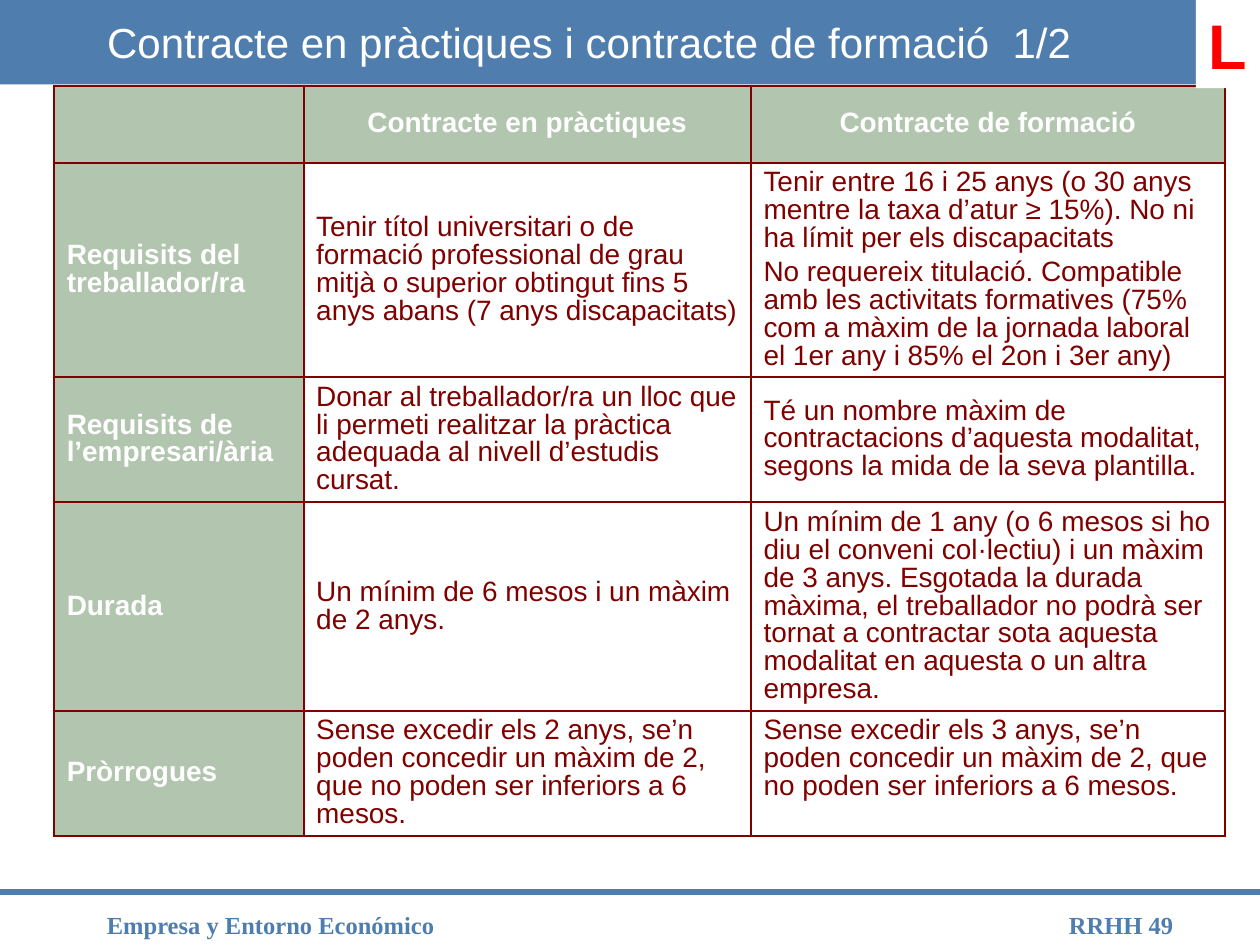
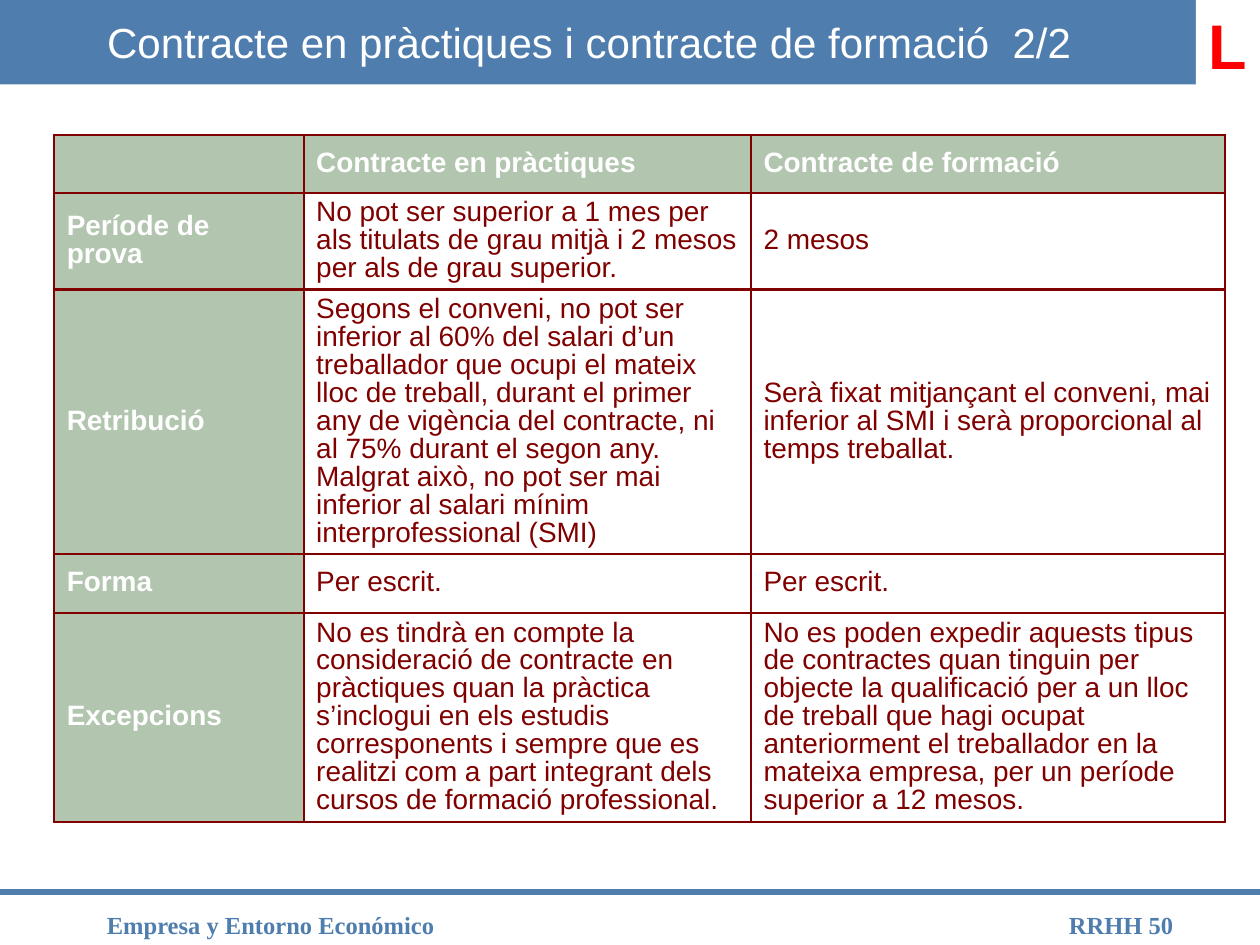
from dataclasses import dataclass, field
from typing import Any

from lxml import etree
from pptx import Presentation
from pptx import util as u
from pptx.dml.color import RGBColor
from pptx.enum import shapes, text
from pptx.oxml import ns


@dataclass(frozen=True)
class Theme:
    """Colours, fonts and type sizes that all slides share."""
    blue: str = "4F7DAE"
    sage: str = "B2C5AF"
    wine: str = "800000"
    white: str = "FFFFFF"
    red: str = "FF0000"
    sans: str = "Arial"
    serif: str = "Times New Roman"
    head: float = 24
    cell: float = 16
    foot: float = 14
    mark: float = 36
    rule: float = 3
    edge: float = 1.5


@dataclass(frozen=True)
class Box:
    """A frame in percent of the slide's width and height."""
    left: float
    top: float
    width: float
    height: float


@dataclass(frozen=True)
class Type:
    """The look of one kind of text."""
    size: float
    tint: str
    face: str
    bold: bool = False
    align: Any = text.PP_ALIGN.LEFT
    form: dict = field(default_factory=dict)


@dataclass(frozen=True)
class Page:
    """One slide: its numbers, table place, row heights and cells."""
    step: str
    num: int
    top: float
    rows: tuple[float, ...]
    cells: tuple[tuple[str, ...], ...]
    align: Any = text.PP_ALIGN.LEFT
    high: tuple[tuple[int, int], ...] = ()


T = Theme()
WIDE, TALL = u.Inches(10), u.Inches(7.5)
BAND = Box(0, 0, 100, 8.93)
TITLE = Box(7.5, 0, 85, 8.93)
MARK = Box(94.9, 0, 5.1, 9.33)
NAME = Box(7.5, 95.6, 46.7, 3.33)
CODE = Box(79.9, 95.6, 14.2, 3.33)
RULE = 94.4
LEFT = 4.3
COLS = (19.8, 35.5, 37.6)
MID, TOP = text.MSO_ANCHOR.MIDDLE, text.MSO_ANCHOR.TOP
RIGHT, CENTRE = text.PP_ALIGN.RIGHT, text.PP_ALIGN.CENTER
TIGHT = {"line_spacing": 0.9, "space_before": u.Pt(3.2)}
FRAME = {"word_wrap": True, "auto_size": text.MSO_AUTO_SIZE.NONE}
HEADS = ("", "Contracte en pràctiques", "Contracte de formació")

PAGES = (
    Page("1/2", 49, 9.1, (8.15, 22.65, 13.23, 22.12, 13.12), (
        HEADS,
        ("Requisits del treballador/ra",
         "Tenir títol universitari o de formació professional de grau mitjà o "
         "superior obtingut fins 5 anys abans (7 anys discapacitats)",
         "Tenir entre 16 i 25 anys (o 30 anys mentre la taxa d’atur ≥ 15%). "
         "No ni ha límit per els discapacitats\n"
         "No requereix titulació. Compatible amb les activitats formatives "
         "(75% com a màxim de la jornada laboral el 1er any i 85% el 2on i 3er any)"),
        ("Requisits de l’empresari/ària",
         "Donar al treballador/ra un lloc que li permeti realitzar la pràctica "
         "adequada al nivell d’estudis cursat.",
         "Té un nombre màxim de contractacions d’aquesta modalitat, segons la "
         "mida de la seva plantilla."),
        ("Durada",
         "Un mínim de 6 mesos i un màxim de 2 anys.",
         "Un mínim de 1 any (o 6 mesos si ho diu el conveni col·lectiu) i un "
         "màxim de 3 anys. Esgotada la durada màxima, el treballador no podrà ser "
         "tornat a contractar sota aquesta modalitat en aquesta o un altra empresa."),
        ("Pròrrogues",
         "Sense excedir els 2 anys, se’n poden concedir un màxim de 2, que no "
         "poden ser inferiors a 6 mesos.",
         "Sense excedir els 3 anys, se’n poden concedir un màxim de 2, que no "
         "poden ser inferiors a 6 mesos."),
    ), CENTRE, ((4, 2),)),
    Page("2/2", 50, 14.29, (6.14, 10.2, 27.99, 6.24, 22.12), (
        HEADS,
        ("Període de prova",
         "No pot ser superior a 1 mes per als titulats de grau mitjà i 2 mesos "
         "per als de grau superior.",
         "2 mesos"),
        ("Retribució",
         "Segons el conveni, no pot ser inferior al 60% del salari d’un treballador "
         "que ocupi el mateix lloc de treball, durant el primer any de vigència del "
         "contracte, ni al 75% durant el segon any. Malgrat això, no pot ser mai "
         "inferior al salari mínim interprofessional (SMI)",
         "Serà fixat mitjançant el conveni, mai inferior al SMI i serà proporcional "
         "al temps treballat."),
        ("Forma", "Per escrit.", "Per escrit."),
        ("Excepcions",
         "No es tindrà en compte la consideració de contracte en pràctiques quan la "
         "pràctica s’inclogui en els estudis corresponents i sempre que es realitzi "
         "com a part integrant dels cursos de formació professional.",
         "No es poden expedir aquests tipus de contractes quan tinguin per objecte "
         "la qualificació per a un lloc de treball que hagi ocupat anteriorment el "
         "treballador en la mateixa empresa, per un període superior a 12 mesos."),
    )),
)


def across(share: float) -> int:
    """Turn percent of the width into a length."""
    return round(WIDE * share / 100)


def down(share: float) -> int:
    """Turn percent of the height into a length."""
    return round(TALL * share / 100)


def place(box: Box) -> tuple[int, int, int, int]:
    """Turn a box into left, top, width and height."""
    return across(box.left), down(box.top), across(box.width), down(box.height)


def put(item: Any, form: dict) -> None:
    """Set each format value on an object."""
    for key, val in form.items():
        setattr(item, key, val)


def write(frame: Any, words: str, look: Type) -> None:
    """Fill a text frame, one paragraph a line."""
    frame.text = words
    for para in frame.paragraphs:
        put(para, {"alignment": look.align, **look.form})
        for run in para.runs:
            put(run.font, {"size": u.Pt(look.size), "name": look.face, "bold": look.bold})
            run.font.color.rgb = RGBColor.from_string(look.tint)


def block(slide: Any, box: Box, tint: str) -> Any:
    """Draw a plain filled rectangle."""
    rect = slide.shapes.add_shape(shapes.MSO_SHAPE.RECTANGLE, *place(box))
    rect.shadow.inherit = False
    rect.fill.solid()
    rect.fill.fore_color.rgb = RGBColor.from_string(tint)
    rect.line.fill.background()
    return rect


def label(slide: Any, box: Box, words: str, look: Type) -> None:
    """Add a text box."""
    frame = slide.shapes.add_textbox(*place(box)).text_frame
    put(frame, FRAME)
    write(frame, words, look)


def base(slide: Any, num: int) -> None:
    """Draw the band, the rule and the footer."""
    block(slide, BAND, T.blue)
    rule = slide.shapes.add_connector(
        shapes.MSO_CONNECTOR.STRAIGHT, 0, down(RULE), WIDE, down(RULE))
    rule.line.color.rgb = RGBColor.from_string(T.blue)
    rule.line.width = u.Pt(T.rule)
    etree.SubElement(rule._element.spPr, ns.qn("a:effectLst"))
    label(slide, CODE, f"RRHH {num}", Type(T.foot, T.blue, T.serif, True, RIGHT))
    label(slide, NAME, "Empresa y Entorno Económico", Type(T.foot, T.blue, T.serif, True))


def border(cell: Any) -> None:
    """Rule all four sides of a cell."""
    props = cell._tc.get_or_add_tcPr()
    for side in "LRTB":
        line = etree.SubElement(props, ns.qn(f"a:ln{side}"), w=str(u.Pt(T.edge)))
        fill = etree.SubElement(line, ns.qn("a:solidFill"))
        etree.SubElement(fill, ns.qn("a:srgbClr"), val=T.wine)


def grid(slide: Any, page: Page) -> None:
    """Draw the table that compares the contracts."""
    box = Box(LEFT, page.top, sum(COLS), sum(page.rows))
    table = slide.shapes.add_table(len(page.rows), len(COLS), *place(box)).table
    put(table, {"first_row": False, "horz_banding": False})
    for col, share in zip(table.columns, COLS):
        col.width = across(share)
    for row, share in zip(table.rows, page.rows):
        row.height = down(share)
    for r, line in enumerate(page.cells):
        for c, words in enumerate(line):
            cell = table.cell(r, c)
            head = r == 0 or c == 0
            border(cell)
            if head:
                cell.fill.solid()
                cell.fill.fore_color.rgb = RGBColor.from_string(T.sage)
            else:
                cell.fill.background()
            cell.vertical_anchor = TOP if (r, c) in page.high else MID
            align = page.align if r == 0 else text.PP_ALIGN.LEFT
            tint = T.white if head else T.wine
            write(cell.text_frame, words, Type(T.cell, tint, T.sans, head, align, TIGHT))


def crown(slide: Any, step: str) -> None:
    """Place the corner letter and the title above the band."""
    frame = block(slide, MARK, T.white).text_frame
    put(frame, {"word_wrap": False, "vertical_anchor": TOP})
    write(frame, "L", Type(T.mark, T.red, T.sans, True, CENTRE))
    title = slide.shapes.title
    put(title, dict(zip(("left", "top", "width", "height"), place(TITLE))))
    put(title.text_frame, {**FRAME, "vertical_anchor": MID})
    write(title.text_frame, f"Contracte en pràctiques i contracte de formació  {step}",
          Type(T.head, T.white, T.sans))
    slide.shapes._spTree.append(title._element)


def main() -> None:
    """Build and save the slides."""
    deck = Presentation()
    put(deck, {"slide_width": WIDE, "slide_height": TALL})
    for page in PAGES:
        slide = deck.slides.add_slide(deck.slide_layouts[5])
        base(slide, page.num)
        grid(slide, page)
        crown(slide, page.step)
    deck.save("out.pptx")


if __name__ == "__main__":
    main()
